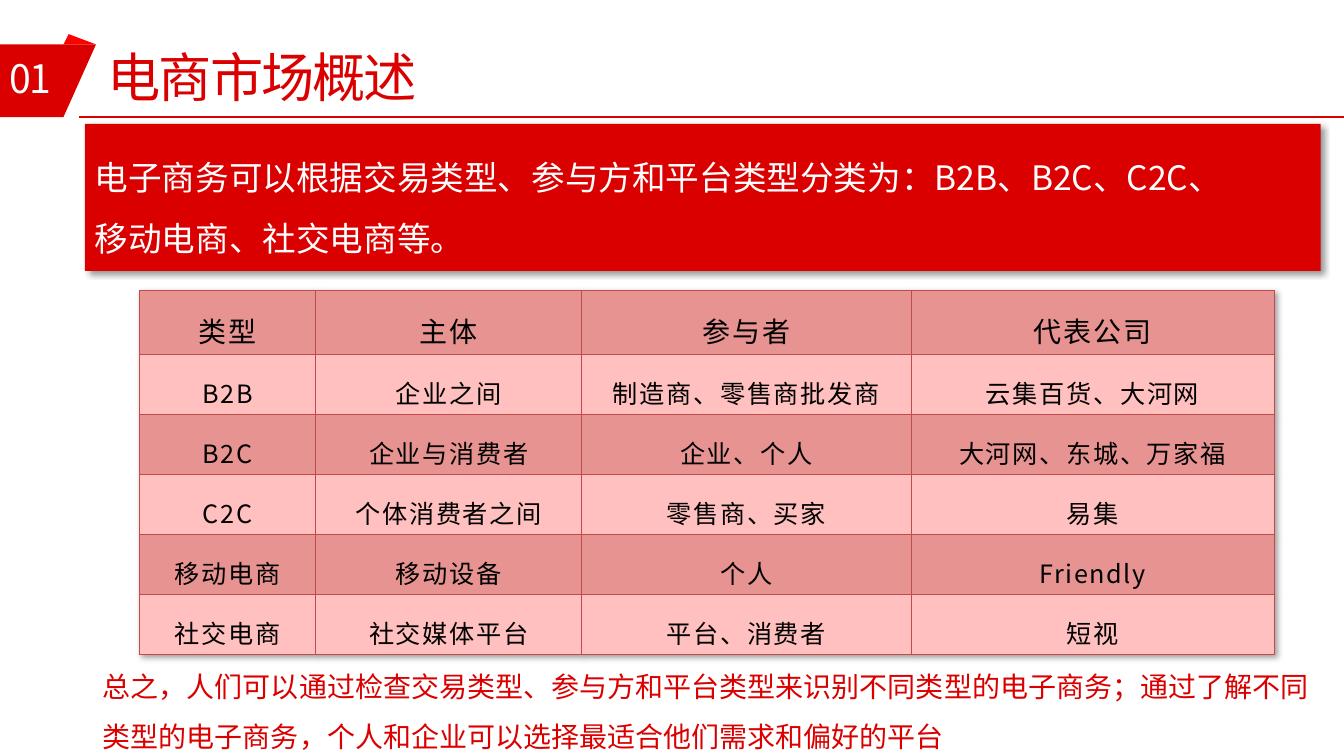
"""Build the slide on the e-commerce market."""
from dataclasses import dataclass
from typing import Any
from lxml.etree import Element, SubElement
from pptx import Presentation
from pptx.dml.color import RGBColor
from pptx.enum.shapes import MSO_CONNECTOR, MSO_SHAPE
from pptx.enum.text import MSO_ANCHOR, MSO_AUTO_SIZE, PP_ALIGN
from pptx.oxml.ns import qn
from pptx.util import Cm, Pt

FONT = "Noto Sans CJK SC"
RED, BRIGHT, WHITE, BLACK = "DA0000", "FF0000", "FFFFFF", "000000"
EDGE, BANDS = "BF4C48", ("E69391", "FFC0BF")


@dataclass
class Style:
    """Look of a piece of text."""
    size: float
    color: str
    space: float = 0
    line: float = 1.0
    align: Any = PP_ALIGN.LEFT


@dataclass
class Label:
    """Text box with its place in centimetres."""
    text: str
    box: tuple[float, float, float, float]
    style: Style


@dataclass
class Flag:
    """Filled outline with corners in centimetres."""
    color: str
    dots: list[tuple[float, float]]


@dataclass
class Band:
    """Look of a table row, lengths in centimetres."""
    height: float
    above: float
    below: float
    style: Style


TITLE = Label("电商市场概述", (2.46, 0.99, 14.6, 1.88), Style(38, RED, -1.5))
BANNER = Label("电子商务可以根据交易类型、参与方和平台类型分类为：B2B、B2C、C2C、\n移动电商、社交电商等。",
               (2.14, 3.12, 31.14, 3.71), Style(24, WHITE, line=1.5))
LABELS = [
    Label("01", (0, 1.24, 1.85, 1.45), Style(28, WHITE, -1.5, align=PP_ALIGN.JUSTIFY)),
    Label("总之，人们可以通过检查交易类型、参与方和平台类型来识别不同类型的电子商务；"
          "通过了解不同类型的电子商务，个人和企业可以选择最适合他们需求和偏好的平台",
          (2.34, 16.32, 31.52, 2.72), Style(20, RED, line=1.5)),
]
FLAGS = [
    Flag(BRIGHT, [(1.6, 1.12), (2.42, 1.12), (1.73, 0.86)]),
    Flag(RED, [(0, 1.12), (2.42, 1.12), (1.6, 2.95), (0, 2.95)]),
]
HEAD = Band(1.62, 0.22, 0.05, Style(20, BLACK, 1.3, 1.2, PP_ALIGN.CENTER))
BODY = Band(1.51, 0.3, 0.08, Style(18, BLACK, 1.2, 1.2, PP_ALIGN.CENTER))
WIDTHS = (4.45, 6.7, 8.3, 9.15)
ROWS = [
    ("类型", "主体", "参与者", "代表公司"),
    ("B2B", "企业之间", "制造商、零售商批发商", "云集百货、大河网"),
    ("B2C", "企业与消费者", "企业、个人", "大河网、东城、万家福"),
    ("C2C", "个体消费者之间", "零售商、买家", "易集"),
    ("移动电商", "移动设备", "个人", "Friendly"),
    ("社交电商", "社交媒体平台", "平台、消费者", "短视"),
]


def put(item: Any, **values: Any) -> None:
    """Set each named attribute on the item."""
    for name, value in values.items():
        setattr(item, name, value)


def tint(code: str) -> RGBColor:
    """Turn a hex string into a colour."""
    return RGBColor.from_string(code)


def paint(item: Any, code: str) -> None:
    """Fill a shape or cell with one colour."""
    item.fill.solid()
    item.fill.fore_color.rgb = tint(code)


def write(frame: Any, text: str, style: Style) -> None:
    """Write styled lines into a text frame."""
    frame.text = text
    for para in frame.paragraphs:
        put(para, alignment=style.align, line_spacing=style.line)
        for run in para.runs:
            put(run.font, size=Pt(style.size), name=FONT)
            run.font.color.rgb = tint(style.color)
            props = run._r.get_or_add_rPr()
            props.set("spc", str(round(style.space * 100)))
            SubElement(props, qn("a:ea"), typeface=FONT)


def shade(effects: Any) -> None:
    """Add a soft shadow to an effect list."""
    drop = SubElement(effects, qn("a:outerShdw"), blurRad=str(Pt(4)),
                      dist=str(Pt(3)), dir="2700000", algn="tl", rotWithShape="0")
    color = SubElement(drop, qn("a:srgbClr"), val=BLACK)
    SubElement(color, qn("a:alpha"), val="40000")


def place(shape: Any, label: Label, anchor: Any = MSO_ANCHOR.TOP) -> None:
    """Move a shape to its box and write its text."""
    left, top, width, height = map(Cm, label.box)
    put(shape, left=left, top=top, width=width, height=height)
    frame = shape.text_frame
    put(frame, word_wrap=True, auto_size=MSO_AUTO_SIZE.NONE, vertical_anchor=anchor)
    write(frame, label.text, label.style)


def draw_flag(shapes: Any, flag: Flag) -> None:
    """Draw one filled outline."""
    first, *rest = [(Cm(x), Cm(y)) for x, y in flag.dots]
    pen = shapes.build_freeform(*first)
    pen.add_line_segments(rest, close=True)
    shape = pen.convert_to_shape()
    paint(shape, flag.color)
    shape.line.fill.background()
    shape.shadow.inherit = False


def draw_banner(shapes: Any) -> None:
    """Draw the red summary of types."""
    shape = shapes.add_shape(MSO_SHAPE.RECTANGLE, *map(Cm, BANNER.box))
    paint(shape, RED)
    shape.line.fill.background()
    shape.shadow.inherit = False
    shade(shape._element.spPr.find(qn("a:effectLst")))
    place(shape, BANNER, MSO_ANCHOR.MIDDLE)


def draw_rule(shapes: Any) -> None:
    """Draw the line under the title."""
    rule = shapes.add_connector(MSO_CONNECTOR.STRAIGHT, Cm(2), Cm(2.95), Cm(33.87), Cm(2.95))
    rule.line.color.rgb = tint(RED)
    rule.line.width = Pt(1)
    SubElement(rule._element.spPr, qn("a:effectLst"))


def edge(cell: Any) -> None:
    """Give a cell its four borders."""
    props = cell._tc.get_or_add_tcPr()
    for slot, side in enumerate(("lnL", "lnR", "lnT", "lnB")):
        line = Element(qn(f"a:{side}"), w=str(Pt(0.75)))
        fill = SubElement(line, qn("a:solidFill"))
        SubElement(fill, qn("a:srgbClr"), val=EDGE)
        props.insert(slot, line)


def draw_table(shapes: Any) -> None:
    """Draw the table of trade types."""
    table = shapes.add_table(len(ROWS), len(WIDTHS), Cm(3.51), Cm(7.32),
                             Cm(sum(WIDTHS)), Cm(9.17)).table
    put(table, first_row=False, horz_banding=False)
    effects = Element(qn("a:effectLst"))
    shade(effects)
    table._tbl.tblPr.insert(0, effects)
    for col, width in zip(table.columns, WIDTHS):
        col.width = Cm(width)
    for i, words in enumerate(ROWS):
        band = BODY if i else HEAD
        table.rows[i].height = Cm(band.height)
        for j, word in enumerate(words):
            cell = table.cell(i, j)
            put(cell, vertical_anchor=MSO_ANCHOR.MIDDLE, margin_left=Cm(0.48),
                margin_right=Cm(0.48), margin_top=Cm(band.above), margin_bottom=Cm(band.below))
            write(cell.text_frame, word, band.style)
            paint(cell, BANDS[i % 2])
            edge(cell)


def main() -> None:
    """Build and save the slide."""
    deck = Presentation()
    put(deck, slide_width=Cm(33.87), slide_height=Cm(19.05))
    shapes = deck.slides.add_slide(deck.slide_layouts[5]).shapes
    place(shapes.title, TITLE)
    draw_banner(shapes)
    for flag in FLAGS:
        draw_flag(shapes, flag)
    draw_rule(shapes)
    for label in LABELS:
        place(shapes.add_textbox(0, 0, 0, 0), label)
    draw_table(shapes)
    deck.save("out.pptx")


if __name__ == "__main__":
    main()
